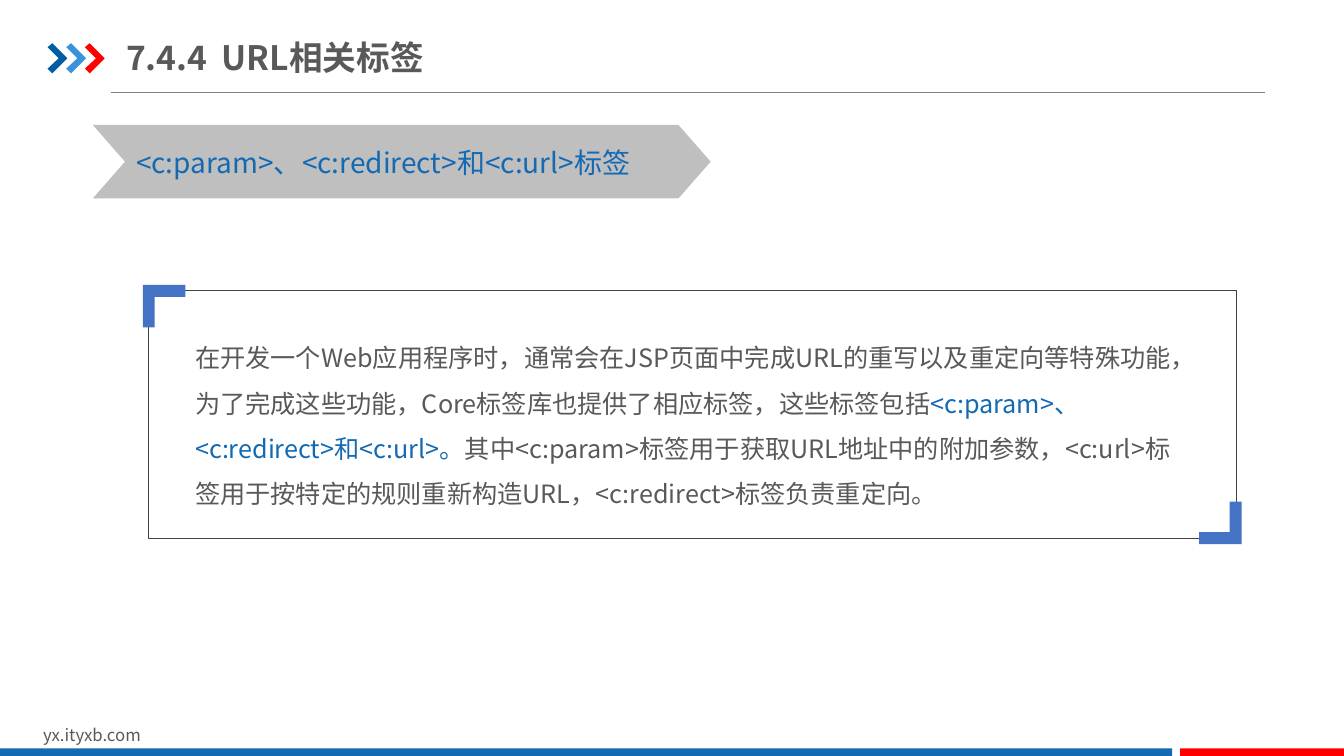
import dataclasses

import lxml.etree
import pptx
import pptx.dml.color
import pptx.enum.shapes
import pptx.enum.text
import pptx.oxml.ns
import pptx.util

Cm = pptx.util.Cm
Pt = pptx.util.Pt
SHAPE = pptx.enum.shapes.MSO_SHAPE
FIT = pptx.enum.text.MSO_AUTO_SIZE
qn = pptx.oxml.ns.qn


@dataclasses.dataclass(frozen=True)
class Theme:
    font: str = "Noto Sans CJK SC"
    text: str = "595959"
    blue: str = "1369B2"
    red: str = "FF0000"
    navy: str = "005DA2"
    sky: str = "3992DB"
    banner: str = "BFBFBF"
    bracket: str = "4472C4"
    frame: str = "404040"
    rule: str = "808080"
    title_size: int = 24
    banner_size: int = 20
    body_size: int = 18
    footer_size: int = 12


THEME = Theme()


def rgb(value):
    return pptx.dml.color.RGBColor.from_string(value)


def add_run(p, text, size, color=THEME.text, bold=False):
    r = p.add_run()
    r.text = text
    r.font.size = Pt(size)
    r.font.bold = bold
    r.font.color.rgb = rgb(color)
    r.font.name = THEME.font
    ea = lxml.etree.SubElement(r._r.get_or_add_rPr(), qn("a:ea"))
    ea.set("typeface", THEME.font)


def add_text(s, box, runs, size, wrap=True, fit=FIT.SHAPE_TO_FIT_TEXT, spacing=None):
    tf = s.shapes.add_textbox(*map(Cm, box)).text_frame
    tf.word_wrap = wrap
    tf.auto_size = fit
    p = tf.paragraphs[0]
    p.line_spacing = spacing
    for text, color in runs:
        add_run(p, text, size, color)


def paint(sp, fill=None, line=None, width=0):
    sp.shadow.inherit = False
    if fill:
        sp.fill.solid()
        sp.fill.fore_color.rgb = rgb(fill)
    else:
        sp.fill.background()
    if line:
        sp.line.color.rgb = rgb(line)
        sp.line.width = Pt(width)
    else:
        sp.line.fill.background()


def add_box(s, kind, box, fill=None, line=None, width=0, adjust=None):
    sp = s.shapes.add_shape(kind, *map(Cm, box))
    if adjust is not None:
        sp.adjustments[0] = adjust
    paint(sp, fill, line, width)


def add_outline(s, x, y, points, fill, sign=1):
    spots = [(Cm(x + sign * dx), Cm(y + sign * dy)) for dx, dy in points]
    builder = s.shapes.build_freeform(*spots[0])
    builder.add_line_segments(spots[1:], close=True)
    paint(builder.convert_to_shape(), fill)


def add_rule(s, x1, x2, y):
    line = s.shapes.add_connector(
        pptx.enum.shapes.MSO_CONNECTOR.STRAIGHT, Cm(x1), Cm(y), Cm(x2), Cm(y))
    line.line.color.rgb = rgb(THEME.rule)
    line.line.width = Pt(0.5)
    lxml.etree.SubElement(line._element.spPr, qn("a:effectLst"))


def set_title(s, number, text):
    sp = s.shapes.title
    sp.left, sp.top, sp.width, sp.height = Cm(3.18), Cm(0.74), Cm(9.75), Cm(1.4)
    tf = sp.text_frame
    tf.margin_left = tf.margin_right = 0
    tf.word_wrap = True
    tf.auto_size = FIT.NONE
    tf.vertical_anchor = pptx.enum.text.MSO_ANCHOR.MIDDLE
    p = tf.paragraphs[0]
    p.alignment = pptx.enum.text.PP_ALIGN.LEFT
    tabs = lxml.etree.SubElement(p._p.get_or_add_pPr(), qn("a:tabLst"))
    tab = lxml.etree.SubElement(tabs, qn("a:tab"))
    tab.set("pos", str(Cm(2.41)))
    tab.set("algn", "l")
    add_run(p, f"{number}\t{text}", THEME.title_size, bold=True)


def add_header(s):
    add_rule(s, 2.79, 31.88, 2.32)
    chevron = [(0, 0.1), (0.12, 0), (0.5, 0.38), (0.12, 0.76), (0, 0.64), (0.28, 0.38)]
    for i, color in enumerate((THEME.navy, THEME.sky, THEME.red)):
        add_outline(s, 1.2 + i * 0.47, 1.09, chevron, color)
    set_title(s, "7.4.4", "URL相关标签")


def add_footer(s):
    add_text(s, (0.84, 18.14, 8.08, 0.76),
             [("yx.ityxb.com", THEME.text)], THEME.footer_size)
    for x, width, color in ((0, 29.54, THEME.blue), (29.74, 4.13, THEME.red)):
        add_box(s, SHAPE.RECTANGLE, (x, 18.86, width, 0.19), color)


def add_banner(s, text):
    add_box(s, SHAPE.CHEVRON, (2.34, 3.15, 15.57, 1.85), THEME.banner, adjust=0.438)
    add_text(s, (3.18, 3.53, 13.82, 1.12), [(text, THEME.blue)],
             THEME.banner_size, wrap=False)


def add_framed_text(s, runs):
    add_text(s, (4.67, 8.13, 25.55, 4.52), runs, THEME.body_size,
             fit=FIT.NONE, spacing=1.5)
    x, y, width, height = 3.74, 7.32, 27.41, 6.25
    add_box(s, SHAPE.ROUNDED_RECTANGLE, (x, y, width, height),
            line=THEME.frame, width=0.25, adjust=0)
    gap, arm, thick = 0.14, 1.07, 0.3
    bracket = [(0, 0), (arm, 0), (arm, thick), (thick, thick), (thick, arm), (0, arm)]
    add_outline(s, x - gap, y - gap, bracket, THEME.bracket)
    add_outline(s, x + width + gap, y + height + gap, bracket, THEME.bracket, sign=-1)


def main():
    prs = pptx.Presentation()
    prs.slide_width, prs.slide_height = Cm(33.87), Cm(19.05)
    s = prs.slides.add_slide(prs.slide_layouts.get_by_name("Title Only"))
    add_header(s)
    add_footer(s)
    add_banner(s, "<c:param>、<c:redirect>和<c:url>标签")
    add_framed_text(s, [
        ("在开发一个Web应用程序时，通常会在JSP页面中完成URL的重写以及重定向等特殊功能，"
         "为了完成这些功能，Core标签库也提供了相应标签，这些标签包括", THEME.text),
        ("<c:param>、<c:redirect>和<c:url>。", THEME.blue),
        ("其中<c:param>标签用于获取URL地址中的附加参数，"
         "<c:url>标签用于按特定的规则重新构造URL，<c:redirect>标签负责重定向。", THEME.text),
    ])
    prs.save("out.pptx")


if __name__ == "__main__":
    main()
